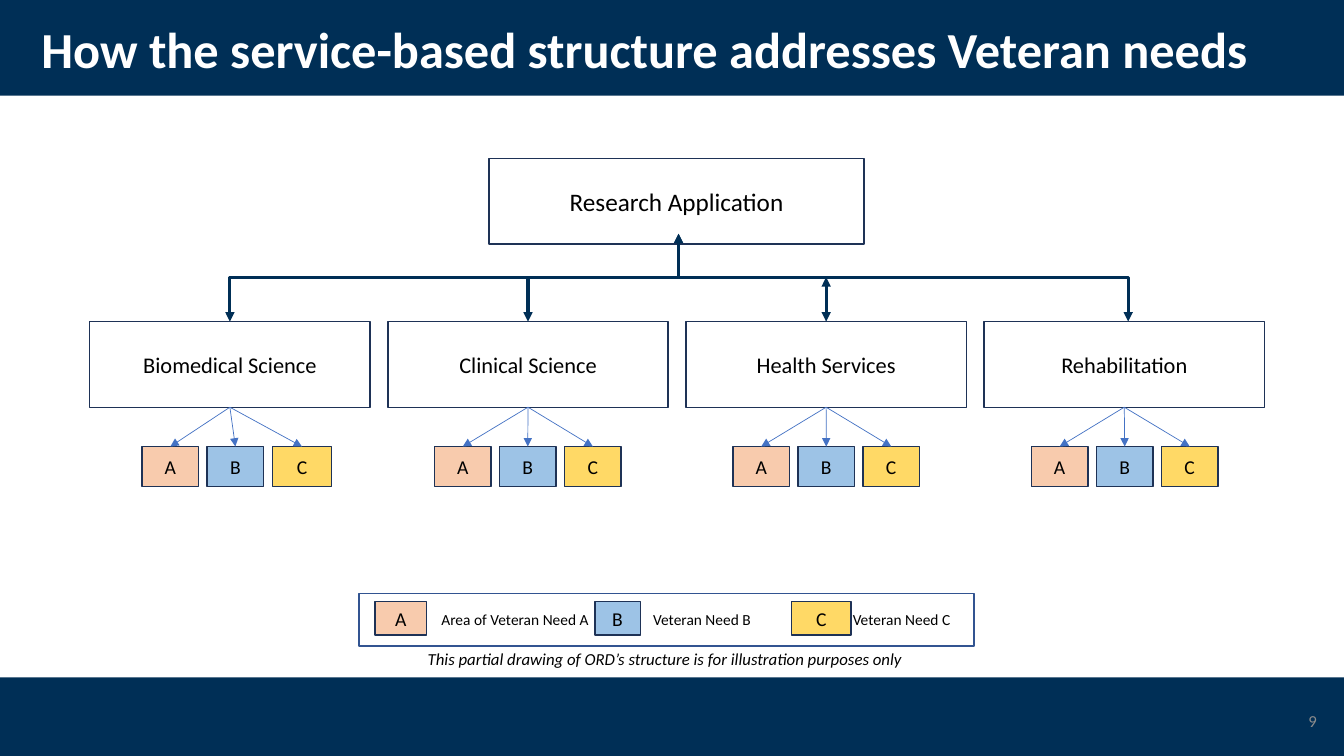
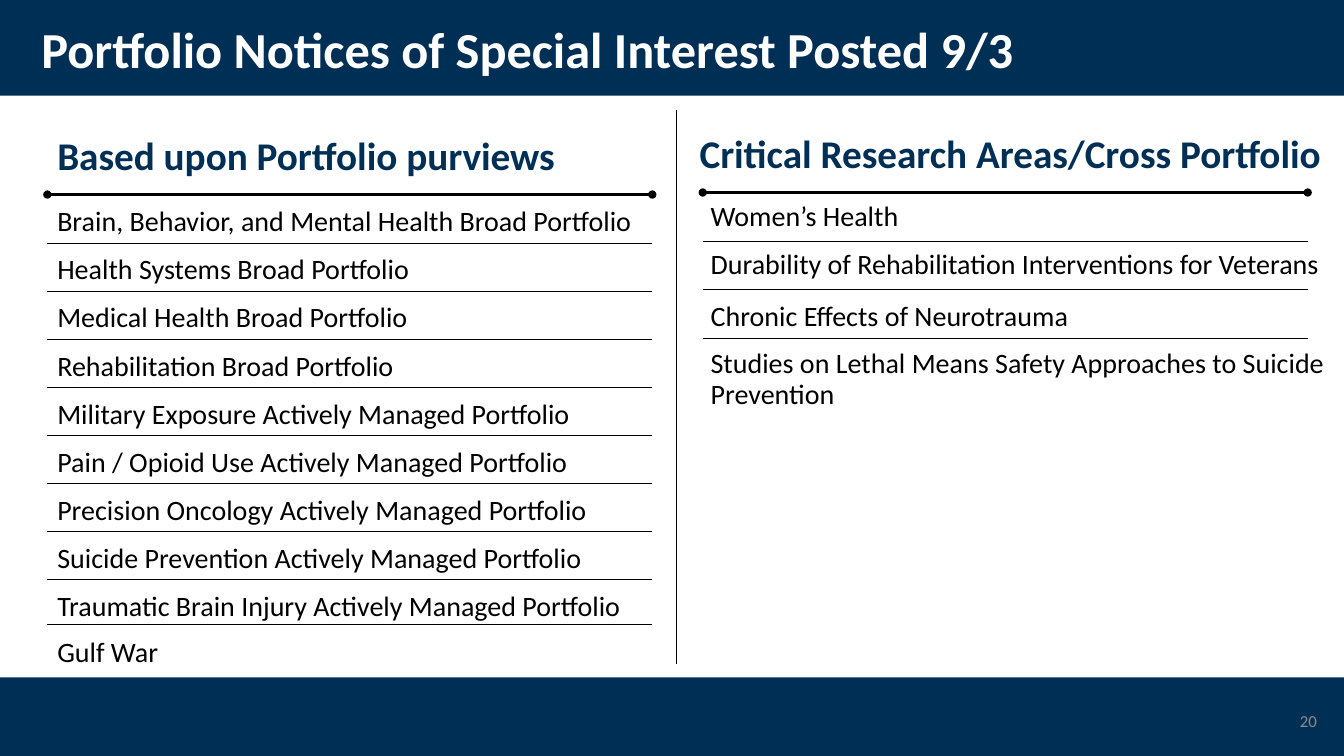
from pptx import Presentation
from pptx import util as u
from pptx.dml.color import RGBColor
from pptx.enum import shapes, text
from pptx.oxml.ns import qn
from lxml import etree

Inches = u.Inches
HUES = {"navy": "002F56", "white": "FFFFFF", "black": "000000", "gray": "8C8C8C",
        "edge": "1E3256", "frame": "325491", "blue": "4472C4",
        "A": "F8CBAD", "B": "9DC3E6", "C": "FFD966"}
LEFT, MID, RIGHT = text.PP_ALIGN.LEFT, text.PP_ALIGN.CENTER, text.PP_ALIGN.RIGHT
TOP, CORE = text.MSO_ANCHOR.TOP, text.MSO_ANCHOR.MIDDLE
BENT, LINE = shapes.MSO_CONNECTOR.ELBOW, shapes.MSO_CONNECTOR.STRAIGHT


def put(slide, at, words="", size=14, hue="black", fill=None, edge=None,
        align=LEFT, anchor=CORE, bold=False, italic=False, gap=None, shape=None):
    """Format a given shape, or add a rectangle (fill or edge) or a text box."""
    spot = [Inches(n) for n in at]
    if shape is not None:
        shape.left, shape.top, shape.width, shape.height = spot
    elif fill or edge:
        shape = slide.shapes.add_shape(shapes.MSO_SHAPE.RECTANGLE, *spot)
        shape.shadow.inherit = False
        shape.fill.background()
        shape.line.fill.background()
    else:
        shape = slide.shapes.add_textbox(*spot)
    if fill:
        shape.fill.solid()
        shape.fill.fore_color.rgb = RGBColor.from_string(HUES[fill])
    if edge:
        shape.line.color.rgb = RGBColor.from_string(HUES[edge])
        shape.line.width = u.Pt(1)
    if words:
        frame = shape.text_frame
        frame.text = words
        frame.word_wrap = True
        frame.auto_size = text.MSO_AUTO_SIZE.NONE
        frame.vertical_anchor = anchor
        para = frame.paragraphs[0]
        para.alignment = align
        if gap:
            para.line_spacing = gap
        font = para.runs[0].font
        font.name, font.size, font.bold, font.italic = "Calibri", u.Pt(size), bold, italic
        font.color.rgb = RGBColor.from_string(HUES[hue])
    return shape


def link(slide, ends, hue="black", width=0.5, head=None, tail=None, kind=LINE):
    """Add a connector with optional line ends."""
    wire = slide.shapes.add_connector(kind, *[Inches(n) for n in ends])
    wire.line.color.rgb = RGBColor.from_string(HUES[hue])
    wire.line.width = u.Pt(width)
    props = wire._element.spPr
    for tag, form in (("a:headEnd", head), ("a:tailEnd", tail)):
        if form:
            etree.SubElement(props.find(qn("a:ln")), qn(tag), type=form)
    etree.SubElement(props, qn("a:effectLst"))
    return wire


deck = Presentation()
deck.slide_width, deck.slide_height = Inches(13.33), Inches(7.5)
plain = deck.slide_layouts[5]

# Shared title and page number
pages = []
for name, num, wide in (
        ("How the service-based structure addresses Veteran needs", "9", 12.23),
        ("Portfolio Notices of Special Interest Posted 9/3", "20", 11.5)):
    page = deck.slides.add_slide(plain)
    put(page, (0.31, 0.18, wide, 0.68), name, 36, "white", bold=True, gap=0.9,
        shape=page.shapes.title)
    put(page, (10.16, 6.95, 3, 0.4), num, 12, "gray", align=RIGHT)
    pages.append(page)
chart, lists = pages

# Bands belong to the layout
for top, tall in ((0, 0.95), (6.72, 0.8)):
    band = put(chart, (0, top, 13.33, tall), fill="navy")
    plain.shapes._spTree.insert(2, band._element)

# Slide 1: tree from the application to the services
put(chart, (4.85, 1.57, 3.72, 0.85), "Research Application", 18, edge="edge", align=MID)
stem, high, low = 6.73, 2.32, 3.19
for end, turn in ((11.19, 270), (2.28, 90)):
    # A turned elbow leaves downwards; its frame is laid on its side
    mid, core = (stem + end) / 2, (high + low) / 2
    half, reach = (low - high) / 2, abs(end - stem) / 2
    side = half if turn == 270 else -half
    elbow = link(chart, (mid + side, core - reach, mid - side, core + reach),
                 "navy", 2.25, "triangle", "triangle", BENT)
    elbow._element.spPr.find(qn("a:xfrm")).set("rot", str(turn * 60000))

names = ["Biomedical Science", "Clinical Science", "Health Services", "Rehabilitation"]
heads = {1: None, 2: "triangle"}
starts = [1.41, 4.31, 7.27, 10.23]
for i, (name, start) in enumerate(zip(names, starts)):
    left = 0.89 + i * 2.957
    box = put(chart, (left, low, 2.78, 0.85), name, 16, fill="white", edge="edge", align=MID)
    if i in heads:
        mid = left + 1.39
        drop = link(chart, (mid, 2.75, mid, low), "navy", 2.25, heads[i], "triangle")
        drop.end_connect(box, 0)
    for j, key in enumerate("ABC"):
        wide = 0.59 if (i, key) == (0, "C") else 0.56
        need = put(chart, (start + j * 0.645, 4.43, wide, 0.4), key,
                   fill=key, edge="edge", align=MID)
        ray = link(chart, (left + 1.39, 4.04, start, 4.43), "blue", tail="triangle")
        ray.begin_connect(box, 2)
        ray.end_connect(need, 0)

# Slide 1: legend and note
put(chart, (3.56, 5.89, 6.1, 0.52), fill="white", edge="frame")
for key, left, wide, start, span, label in (
        ("A", 3.72, 0.51, 4.28, 1.94, "Area of Veteran Need A"),
        ("B", 5.9, 0.45, 6.38, 1.73, "Veteran Need B"),
        ("C", 7.85, 0.59, 8.36, 1.66, "Veteran Need C")):
    put(chart, (left, 5.97, wide, 0.33), key, fill=key, edge="edge", align=MID)
    put(chart, (start, 5.98, span, 0.33), label, 11)
put(chart, (3.29, 6.39, 6.61, 0.3),
    "This partial drawing of ORD’s structure is for illustration purposes only",
    12, align=MID, anchor=TOP, italic=True)

# Slide 2: two ruled lists
link(lists, (6.71, 1.09, 6.71, 6.59))
step = (5.75 - 2.41) / 7
broad = ["Brain, Behavior, and Mental Health Broad Portfolio",
         "Health Systems Broad Portfolio",
         "Medical Health Broad Portfolio",
         "Rehabilitation Broad Portfolio",
         "Military Exposure Actively Managed Portfolio",
         "Pain / Opioid Use Actively Managed Portfolio",
         "Precision Oncology Actively Managed Portfolio",
         "Suicide Prevention Actively Managed Portfolio",
         "Traumatic Brain Injury Actively Managed Portfolio",
         "Gulf War"]
cross = ["Women’s Health",
         "Durability of Rehabilitation Interventions for Veterans",
         "Chronic Effects of Neurotrauma",
         "Studies on Lethal Means Safety Approaches to Suicide Prevention"]
for head, spot, rule, bar, left, wide, rows, tops, rules in (
        ("Based upon Portfolio purviews", (0.47, 1.25, 6, 0.57), 0.47, 1.93, 0.47, 6.5,
         broad, [2.01 + i * step for i in range(9)] + [6.28],
         [2.41 + i * step for i in range(8)] + [6.19]),
        ("Critical Research Areas/Cross Portfolio", (6.84, 1.23, 6.5, 0.57), 6.97, 1.91,
         6.95, 6.3, cross, [1.96, 2.43, 2.95, 3.42], [2.39, 2.87, 3.36])):
    put(lists, spot, head, 28, "navy", anchor=TOP, bold=True)
    link(lists, (rule, bar, rule + 6, bar), width=1.5, head="oval", tail="oval")
    for row, top in zip(rows, tops):
        put(lists, (left, top, wide, 0.33), row, 20, anchor=TOP, gap=0.9)
    for y in rules:
        link(lists, (rule, y, rule + 6, y))

deck.save("out.pptx")
